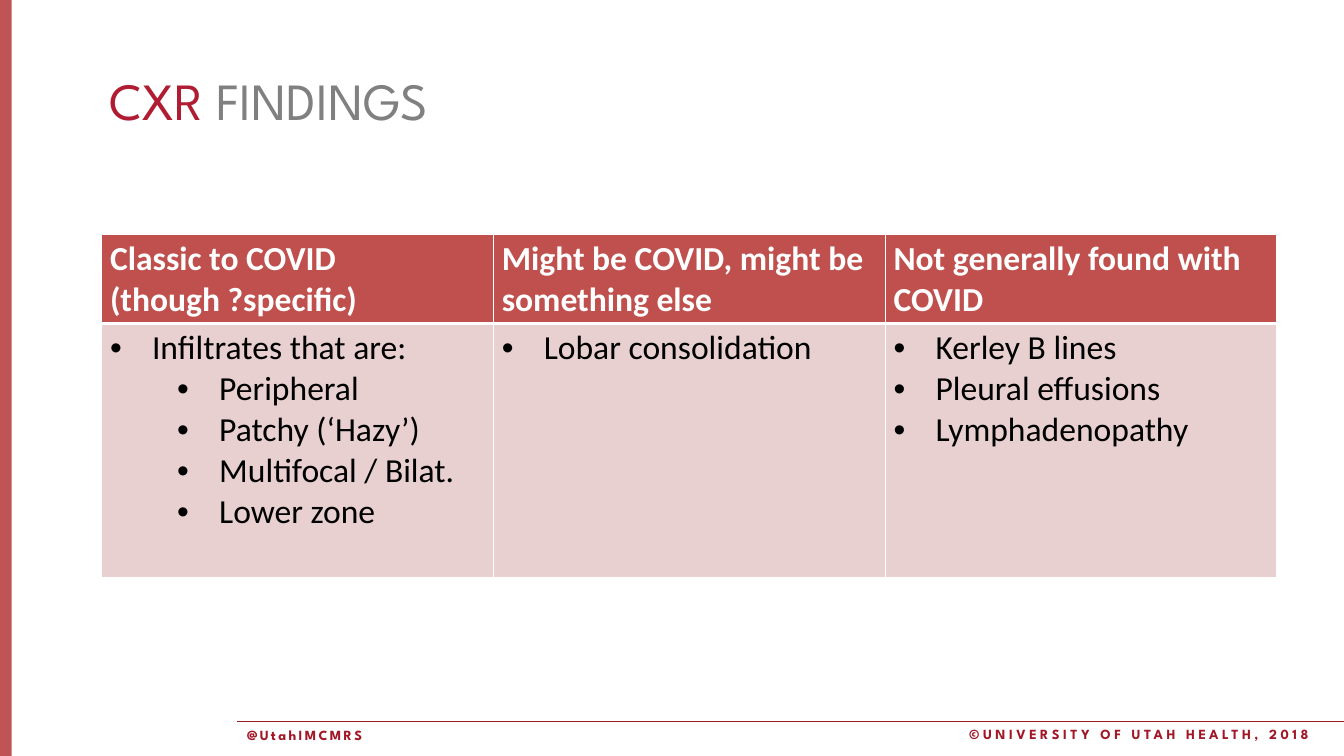
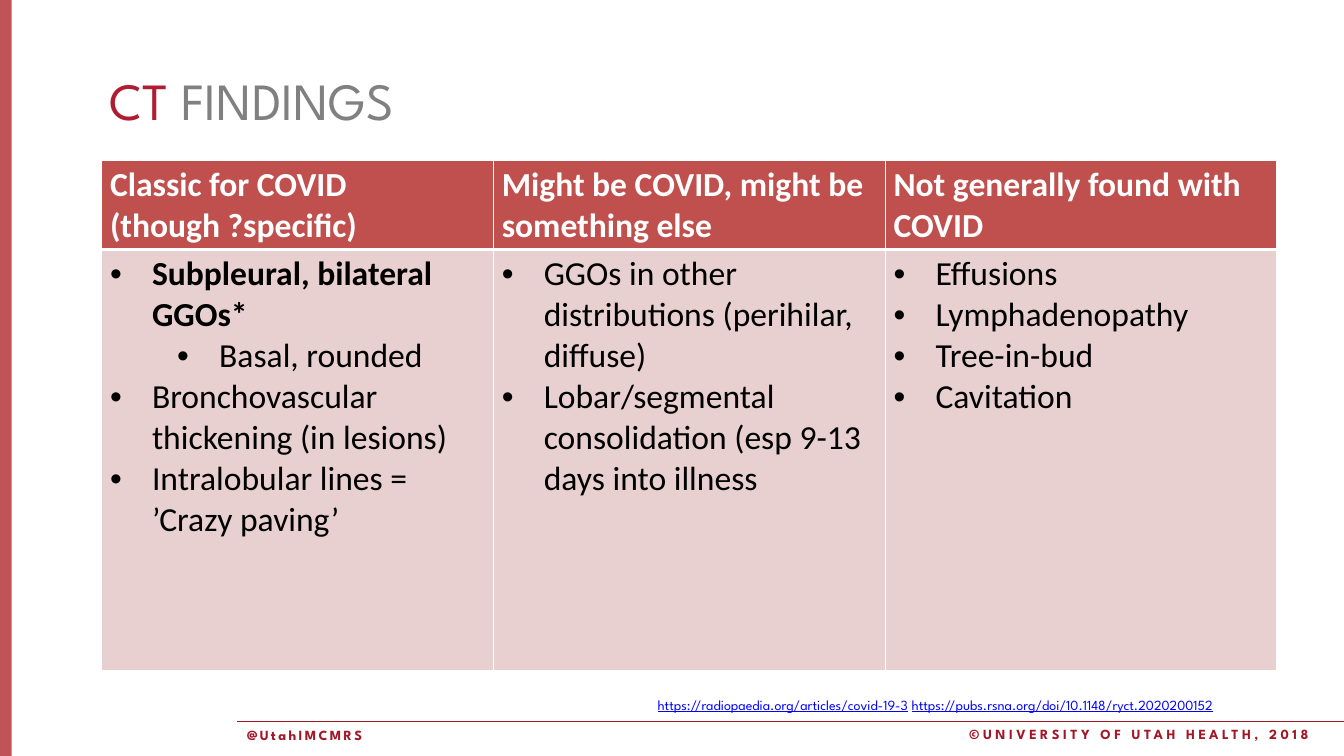
from pptx import Presentation
from pptx.dml.color import RGBColor
from pptx.enum.shapes import MSO_CONNECTOR as Connector, MSO_SHAPE as Shape
from pptx.oxml.ns import qn
from pptx.util import Pt
from lxml.etree import SubElement

WIDTH, HEIGHT = 1152, 648
LEFT, CONTENT_WIDTH = 87.1, 1007.4
HEADER_HEIGHT = 76

# Shared colours and text styles
RED, RULE, WHITE = "B01C32", "A21727", "FFFFFF"
HEAD_FILL, BODY_FILL = "C0504D", "E8D0D0"
TITLE = dict(name="League Spartan", size=Pt(44.8), bold=False)
SMALL = dict(name="League Spartan", size=Pt(12), bold=True)
LINK = dict(name="League Spartan", size=Pt(12), bold=False)
CELL = dict(name="Calibri", size=Pt(28.8))
INDENTS = (36, 93.6)


def paint(target, color):
    """Give a fill, or the colour of a font or line, a hex value."""
    if hasattr(target, "solid"):
        target.solid()
        target.fore_color.rgb = RGBColor.from_string(color)
    else:
        target.color.rgb = RGBColor.from_string(color)


def add_span(para, text, color, style, spacing=0, **extra):
    span = para.add_run()
    span.text = text
    for key, value in {**style, **extra}.items():
        setattr(span.font, key, value)
    paint(span.font, color)
    if spacing:
        span.font._element.set("spc", str(spacing * 100))


def add_text(page, box, spans):
    frame = page.shapes.add_textbox(*map(Pt, box)).text_frame
    frame.word_wrap = True
    for text, color, style, *rest in spans:
        add_span(frame.paragraphs[0], text, color, style, *rest)
    return frame.paragraphs[0]


def add_frame(page):
    """Side band, footer rule and footer texts."""
    band = page.shapes.add_shape(Shape.RECTANGLE, 0, 0, Pt(10), Pt(HEIGHT))
    band.shadow.inherit = False
    paint(band.fill, "AF282C")
    band.line.fill.background()
    tint = band._element.spPr.find(qn("a:solidFill"))[0]
    SubElement(tint, qn("a:alpha"), val="80000")

    rule_top = 618.5
    rule = page.shapes.add_connector(
        Connector.STRAIGHT, Pt(203), Pt(rule_top), Pt(WIDTH), Pt(rule_top))
    paint(rule.line, RULE)
    rule.line.width = Pt(1)
    SubElement(rule._element.spPr, qn("a:effectLst"))

    add_text(page, (823.7, rule_top, WIDTH - 823.7, 21.6),
             [("©UNIVERSITY OF UTAH HEALTH, 2018", RULE, SMALL, 3)])
    add_text(page, (204.5, rule_top + 0.7, 122.4, 23.8),
             [("@UtahIMCMRS", RULE, SMALL, 2)])


def add_title(page, topic):
    add_text(page, (LEFT, 54.7, CONTENT_WIDTH, 51.8),
             [(topic + " ", RED, TITLE), ("FINDINGS", "808080", TITLE)])


def add_links(page, links):
    para = add_text(page, (556.6, 593.3, WIDTH - 556.6, 25.9), [])
    for index, link in enumerate(links):
        if index:
            add_span(para, " ", RULE, LINK)
        add_span(para, link, "0000FF", LINK, underline=True)


def set_bullet(para, level):
    props = para._p.get_or_add_pPr()
    para.level = level
    props.set("marL", str(Pt(INDENTS[level])))
    props.set("indent", str(-Pt(36)))
    SubElement(props, qn("a:buFont"), typeface="Arial")
    SubElement(props, qn("a:buChar"), char="•")


def style_cell(cell, fill, top, bottom):
    props = cell._tc.get_or_add_tcPr()
    for side, width in dict(lnL=1, lnR=1, lnT=top, lnB=bottom).items():
        edge = SubElement(props, qn("a:" + side), w=str(Pt(width)))
        solid = SubElement(edge, qn("a:solidFill"))
        SubElement(solid, qn("a:srgbClr"), val=WHITE)
    paint(cell.fill, fill)


def cell_paragraphs(cell, count):
    frame = cell.text_frame
    return [frame.paragraphs[0]] + [frame.add_paragraph() for _ in range(count - 1)]


def add_findings(page, top, body_height, columns):
    """Table with one heading and one bullet list per column."""
    table = page.shapes.add_table(
        2, len(columns), Pt(LEFT), Pt(top), Pt(CONTENT_WIDTH),
        Pt(HEADER_HEIGHT + body_height)).table
    table.horz_banding = False
    for row, height in zip(table.rows, (HEADER_HEIGHT, body_height)):
        row.height = Pt(height)
    for index, (heading, items) in enumerate(columns):
        table.columns[index].width = Pt(CONTENT_WIDTH / len(columns))
        head, body = table.cell(0, index), table.cell(1, index)
        style_cell(head, HEAD_FILL, 1, 3)
        style_cell(body, BODY_FILL, 3, 1)
        for para, line in zip(cell_paragraphs(head, len(heading)), heading):
            add_span(para, line, WHITE, CELL, bold=True)
        for para, (level, text, *bold) in zip(cell_paragraphs(body, len(items)), items):
            set_bullet(para, level)
            add_span(para, text, "000000", CELL, bold=bool(bold))


def add_page(deck, topic, top, body_height, columns, links=()):
    page = deck.slides.add_slide(deck.slide_layouts[6])
    add_frame(page)
    add_title(page, topic)
    if links:
        add_links(page, links)
    add_findings(page, top, body_height, columns)


# Slide contents: bullets are (level, text) or (level, text, bold)
MAYBE = ["Might be COVID, might be something else"]
UNLIKELY = ["Not generally found with COVID"]
SPECIFIC = "(though ?specific)"

CXR_COLUMNS = [
    (["Classic to COVID", SPECIFIC], [
        (0, "Infiltrates that are:"),
        (1, "Peripheral"),
        (1, "Patchy (‘Hazy’)"),
        (1, "Multifocal / Bilat."),
        (1, "Lower zone")]),
    (MAYBE, [(0, "Lobar consolidation")]),
    (UNLIKELY, [
        (0, "Kerley B lines"),
        (0, "Pleural effusions"),
        (0, "Lymphadenopathy")]),
]
CT_COLUMNS = [
    (["Classic for COVID", SPECIFIC], [
        (0, "Subpleural, bilateral GGOs*", True),
        (1, "Basal, rounded"),
        (0, "Bronchovascular thickening (in lesions)"),
        (0, "Intralobular lines = ’Crazy paving’")]),
    (MAYBE, [
        (0, "GGOs in other distributions (perihilar, diffuse)"),
        (0, "Lobar/segmental consolidation (esp 9-13 days into illness")]),
    (UNLIKELY, [
        (0, "Effusions"),
        (0, "Lymphadenopathy"),
        (0, "Tree-in-bud"),
        (0, "Cavitation")]),
]
CT_LINKS = [
    "https://radiopaedia.org/articles/covid-19-3",
    "https://pubs.rsna.org/doi/10.1148/ryct.2020200152",
]


def main():
    deck = Presentation()
    deck.slide_width, deck.slide_height = Pt(WIDTH), Pt(HEIGHT)
    add_page(deck, "CXR", 201, 218, CXR_COLUMNS)
    add_page(deck, "CT", 137.6, 361, CT_COLUMNS, CT_LINKS)
    deck.save("out.pptx")


if __name__ == "__main__":
    main()
